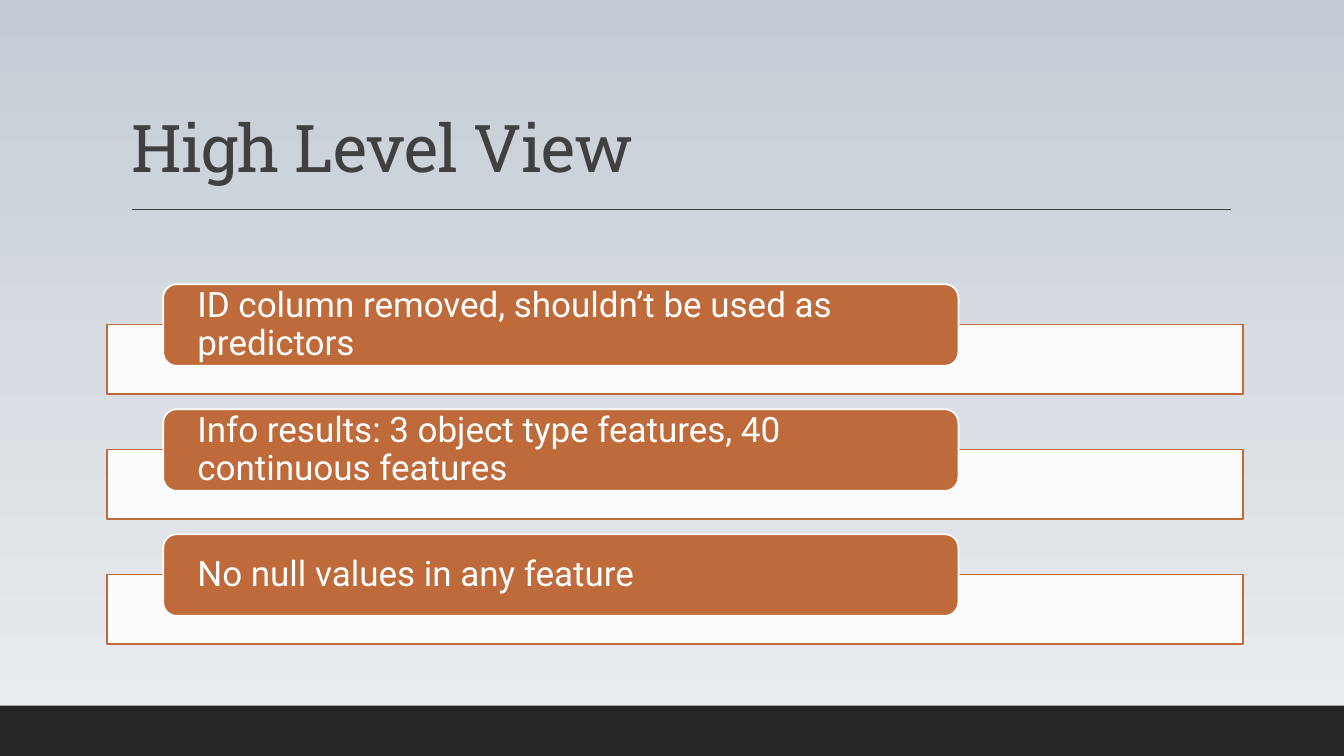
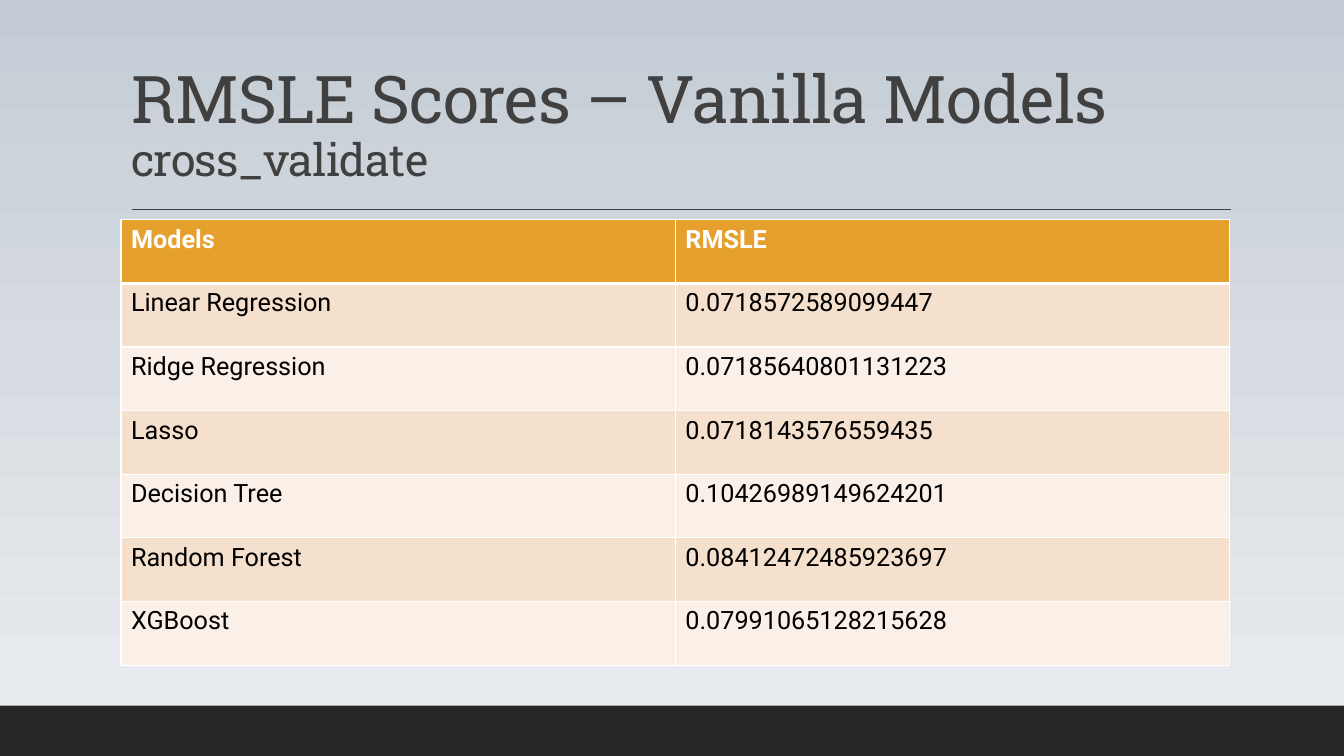
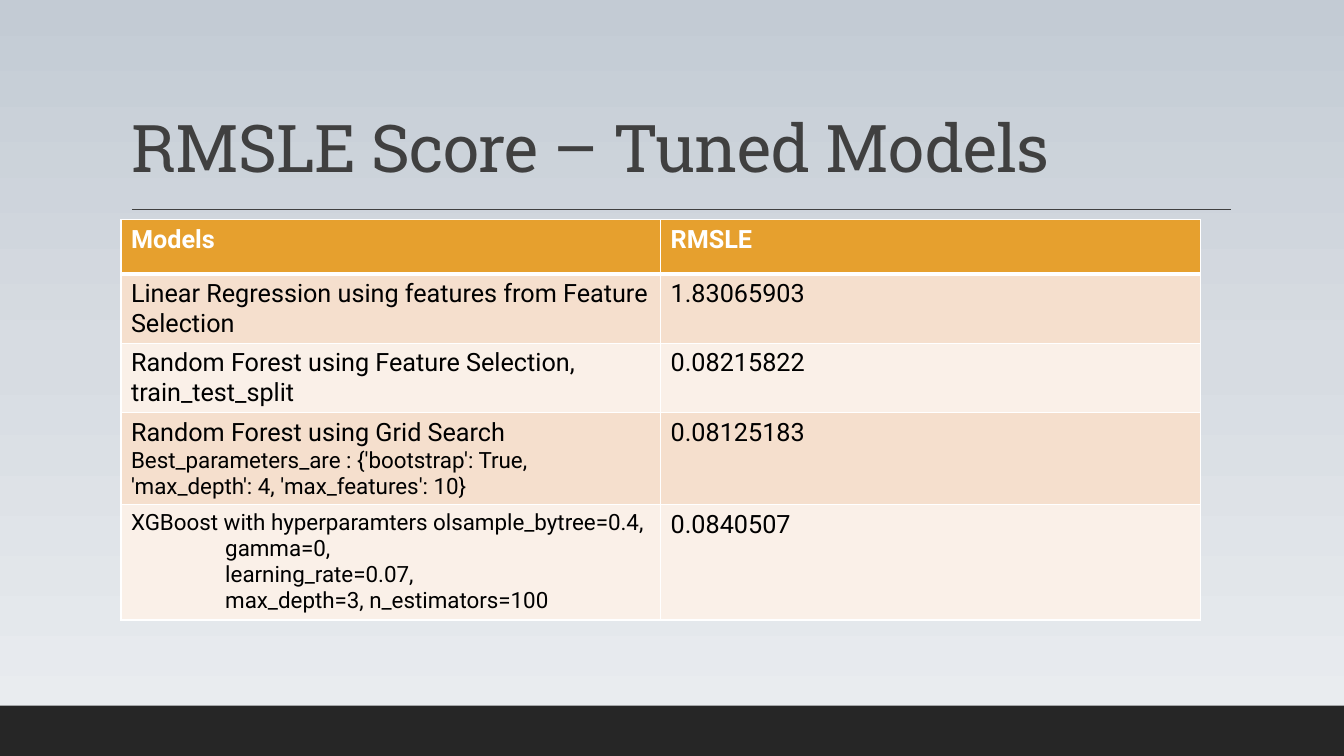
import copy
from dataclasses import dataclass
from typing import Any

import lxml.etree
import pptx
import pptx.dml.color
import pptx.enum.shapes
import pptx.enum.text
import pptx.oxml.ns
import pptx.util

Pt = pptx.util.Pt
qn = pptx.oxml.ns.qn

HEADING_FONT = "Roboto Slab"
BODY_FONT = "Roboto"
DARK_GREY = "404040"
WHITE = "FFFFFF"
BLACK = "000000"
RUST = "BF6A3B"
AMBER = "E6A02E"
BAND_FILLS = ("F5DFCD", "FAF0E8")
BACKGROUND_STOPS = ((0, "EBEEF1"), (0.53, "D7DCE2"), (1, "C3CBD4"))
TABLE_LEFT, TABLE_TOP = 86.4, 157
FIRST_BAR_TOP, BAR_STEP = 203, 89.3
PANEL_OFFSET = 28.8


@dataclass(frozen=True)
class Box:
    left: float
    top: float
    width: float
    height: float

    def lengths(self) -> tuple[int, ...]:
        return tuple(Pt(value) for value in (self.left, self.top, self.width, self.height))


@dataclass(frozen=True)
class Line:
    text: str
    size: float = 18
    indent: float = 0


@dataclass(frozen=True)
class ScoreRow:
    model: tuple[Line, ...]
    score: str
    height: float


TITLE_BOX = Box(86.4, 22.3, 792, 114.5)
FOOTER_BOX = Box(0, 504, 960, 36)

FINDINGS = (
    "ID column removed, shouldn’t be used as predictors",
    "Info results: 3 object type features, 40 continuous features",
    "No null values in any feature",
)

VANILLA_SCORES = (
    ("Models", "RMSLE"),
    ("Linear Regression", "0.0718572589099447"),
    ("Ridge Regression", "0.07185640801131223"),
    ("Lasso", "0.0718143576559435"),
    ("Decision Tree", "0.10426989149624201"),
    ("Random Forest", "0.08412472485923697"),
    ("XGBoost", "0.07991065128215628"),
)
VANILLA_ROWS = tuple(ScoreRow((Line(model),), score, 45.46) for model, score in VANILLA_SCORES)

TUNED_ROWS = (
    ScoreRow((Line("Models"),), "RMSLE", 38.9),
    ScoreRow((Line("Linear Regression using features from Feature Selection"),), "1.83065903", 49.4),
    ScoreRow((Line("Random Forest using Feature Selection, train_test_split"),), "0.08215822", 49.4),
    ScoreRow(
        (
            Line("Random Forest using Grid Search"),
            Line("Best_parameters_are : {'bootstrap': True, 'max_depth': 4, 'max_features': 10}", 16),
        ),
        "0.08125183",
        65.8,
    ),
    ScoreRow(
        (
            Line("XGBoost with hyperparamters olsample_bytree=0.4,", 16),
            Line("gamma=0,", 16, 67.3),
            Line("learning_rate=0.07,", 16, 67.3),
            Line("max_depth=3, n_estimators=100", 16, 67.3),
        ),
        "0.0840507",
        82.2,
    ),
)


def color(value: str) -> pptx.dml.color.RGBColor:
    return pptx.dml.color.RGBColor.from_string(value)


def apply_format(target: Any, values: dict[str, Any]) -> None:
    for name, value in values.items():
        setattr(target, name, value)


def fill_solid(target: Any, value: str) -> None:
    target.fill.solid()
    target.fill.fore_color.rgb = color(value)


def add_run(paragraph: Any, text: str, size: float, font: str, text_color: str, bold: bool = False) -> Any:
    run = paragraph.add_run()
    run.text = text
    apply_format(run.font, {"name": font, "size": Pt(size), "bold": bold})
    run.font.color.rgb = color(text_color)
    return run


def set_background(master: Any) -> None:
    fill = master.background.fill
    fill.gradient()
    fill.gradient_angle = 90
    stop_list = master.element.find(".//" + qn("a:gsLst"))
    stop_list.insert(1, copy.deepcopy(stop_list[0]))
    for stop, (position, value) in zip(fill.gradient_stops, BACKGROUND_STOPS):
        stop.position = position
        stop.color.rgb = color(value)


def add_box(slide: Any, preset: Any, box: Box, fill: str, line: str | None = None) -> Any:
    shape = slide.shapes.add_shape(preset, *box.lengths())
    shape.shadow.inherit = False
    fill_solid(shape, fill)
    if line:
        shape.line.color.rgb = color(line)
        shape.line.width = Pt(1.25)
    else:
        shape.line.fill.background()
    return shape


def add_slide(presentation: Any, title: str, subtitle: str = "") -> Any:
    slide = presentation.slides.add_slide(presentation.slide_layouts.get_by_name("Title Only"))
    add_box(slide, pptx.enum.shapes.MSO_SHAPE.RECTANGLE, FOOTER_BOX, "262626")
    rule = slide.shapes.add_connector(
        pptx.enum.shapes.MSO_CONNECTOR.STRAIGHT, Pt(94.3), Pt(149.8), Pt(879), Pt(149.8)
    )
    rule.line.color.rgb = color(DARK_GREY)
    rule.line.width = Pt(1)
    lxml.etree.SubElement(rule.element.spPr, qn("a:effectLst"))

    shape = slide.shapes.title
    apply_format(shape, dict(zip(("left", "top", "width", "height"), TITLE_BOX.lengths())))
    apply_format(shape.text_frame, {
        "vertical_anchor": pptx.enum.text.MSO_ANCHOR.BOTTOM,
        "auto_size": pptx.enum.text.MSO_AUTO_SIZE.NONE,
        "word_wrap": True,
    })
    paragraph = shape.text_frame.paragraphs[0]
    apply_format(paragraph, {"alignment": pptx.enum.text.PP_ALIGN.LEFT, "line_spacing": 0.9})
    runs = [add_run(paragraph, title, 47, HEADING_FONT, DARK_GREY)]
    if subtitle:
        paragraph.add_line_break()
        runs.append(add_run(paragraph, subtitle, 32, HEADING_FONT, DARK_GREY))
    for run in runs:
        run.font._element.set("spc", "-50")
    return slide


def add_finding(slide: Any, text: str, top: float) -> None:
    panel = add_box(
        slide, pptx.enum.shapes.MSO_SHAPE.RECTANGLE, Box(76.3, top + PANEL_OFFSET, 811.4, 49.7), WHITE, RUST
    )
    panel_color = panel.element.spPr.find(qn("a:solidFill") + "/" + qn("a:srgbClr"))
    lxml.etree.SubElement(panel_color, qn("a:alpha"), val="90000")
    bar = add_box(
        slide, pptx.enum.shapes.MSO_SHAPE.ROUNDED_RECTANGLE, Box(116.6, top, 568, 58.3), RUST, WHITE
    )
    apply_format(bar.text_frame, {
        "margin_left": Pt(21.6),
        "margin_right": Pt(21.6),
        "margin_top": 0,
        "margin_bottom": 0,
        "word_wrap": True,
        "vertical_anchor": pptx.enum.text.MSO_ANCHOR.MIDDLE,
    })
    paragraph = bar.text_frame.paragraphs[0]
    apply_format(paragraph, {"alignment": pptx.enum.text.PP_ALIGN.LEFT, "line_spacing": 0.9})
    add_run(paragraph, text, 25, BODY_FONT, WHITE)


def set_borders(cell: Any, row_index: int) -> None:
    properties = cell._tc.get_or_add_tcPr()
    widths = {"L": 1, "R": 1, "T": 3 if row_index == 1 else 1, "B": 3 if row_index == 0 else 1}
    for side, width in widths.items():
        border = lxml.etree.SubElement(properties, qn(f"a:ln{side}"), w=str(Pt(width)))
        fill = lxml.etree.SubElement(border, qn("a:solidFill"))
        lxml.etree.SubElement(fill, qn("a:srgbClr"), val=WHITE)


def write_cell(cell: Any, lines: tuple[Line, ...], row_index: int) -> None:
    header = row_index == 0
    set_borders(cell, row_index)
    fill_solid(cell, AMBER if header else BAND_FILLS[(row_index - 1) % 2])
    for index, line in enumerate(lines):
        frame = cell.text_frame
        paragraph = frame.add_paragraph() if index else frame.paragraphs[0]
        if line.indent:
            paragraph._p.get_or_add_pPr().set("marL", str(Pt(line.indent)))
        add_run(paragraph, line.text, line.size, BODY_FONT, WHITE if header else BLACK, header)


def add_score_table(slide: Any, rows: tuple[ScoreRow, ...], width: float) -> None:
    box = Box(TABLE_LEFT, TABLE_TOP, width, sum(row.height for row in rows))
    table = slide.shapes.add_table(len(rows), 2, *box.lengths()).table
    for column in table.columns:
        column.width = Pt(width / 2)
    for index, row in enumerate(rows):
        table.rows[index].height = Pt(row.height)
        write_cell(table.cell(index, 0), row.model, index)
        write_cell(table.cell(index, 1), (Line(row.score),), index)


def main() -> None:
    presentation = pptx.Presentation()
    apply_format(presentation, {"slide_width": Pt(960), "slide_height": Pt(540)})
    set_background(presentation.slide_master)

    overview = add_slide(presentation, "High Level View")
    for index, finding in enumerate(FINDINGS):
        add_finding(overview, finding, FIRST_BAR_TOP + index * BAR_STEP)

    vanilla = add_slide(presentation, "RMSLE Scores – Vanilla Models", "cross_validate")
    add_score_table(vanilla, VANILLA_ROWS, 792)

    tuned = add_slide(presentation, "RMSLE Score – Tuned Models")
    add_score_table(tuned, TUNED_ROWS, 771)

    presentation.save("out.pptx")


if __name__ == "__main__":
    main()
